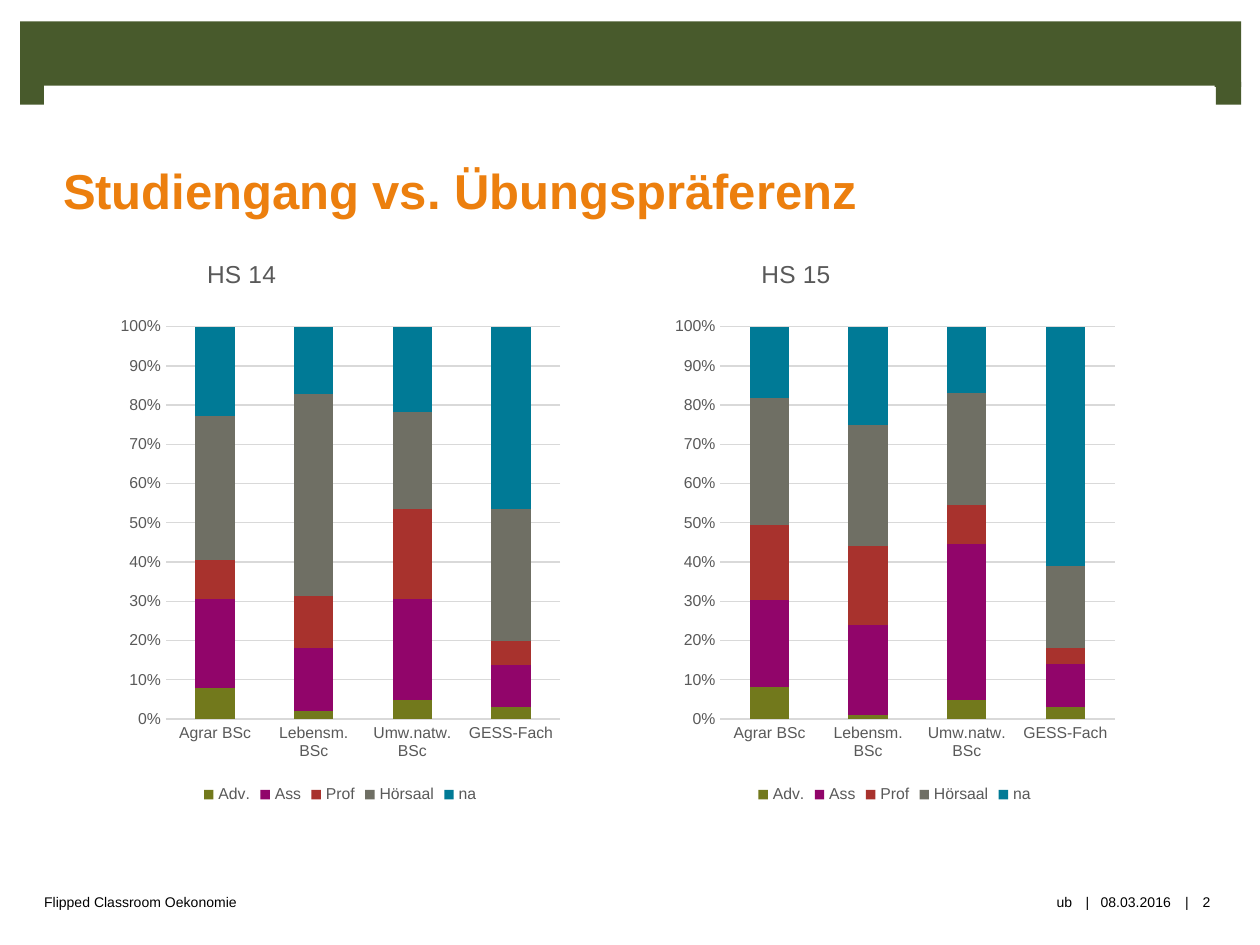
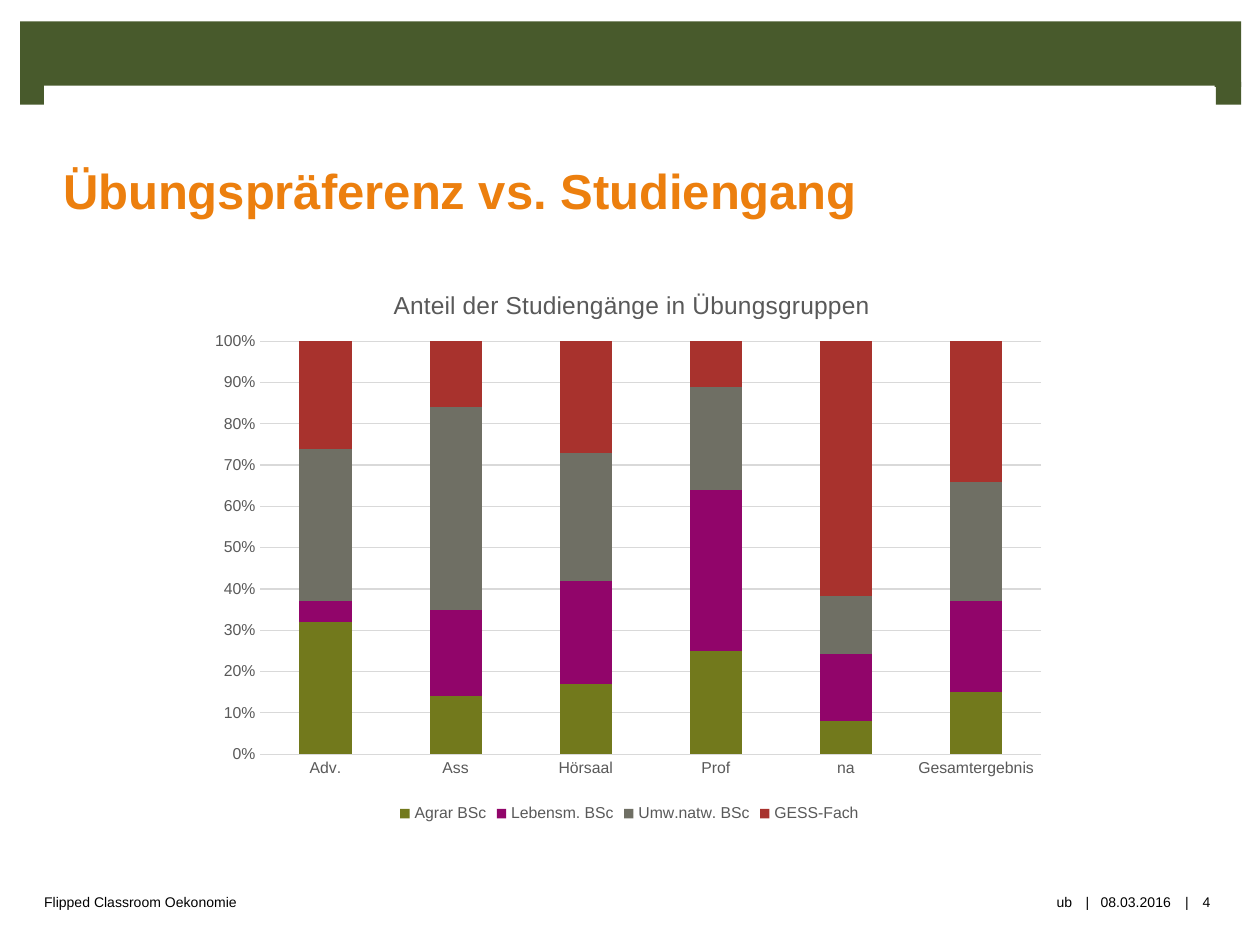
from collections import namedtuple
from dataclasses import dataclass

from lxml.etree import SubElement
from pptx import Presentation
from pptx.chart.data import CategoryChartData
from pptx.dml.color import RGBColor
from pptx.enum.chart import XL_CHART_TYPE, XL_LEGEND_POSITION, XL_TICK_MARK
from pptx.enum.shapes import MSO_SHAPE
from pptx.enum.text import MSO_ANCHOR, MSO_AUTO_SIZE, PP_ALIGN
from pptx.oxml.ns import qn
from pptx.util import Inches, Pt

Box = namedtuple("Box", "x y w h")


@dataclass(frozen=True)
class Theme:
    font: str = "Arial"
    band: str = "485A2C"
    title: str = "EC7F0E"
    paper: str = "FFFFFF"
    ink: str = "000000"
    label: str = "595959"
    grid: str = "D9D9D9"
    olive: str = "72791C"
    plum: str = "91056A"
    red: str = "A8322D"
    grey: str = "6F6F64"
    teal: str = "007A96"
    title_size: float = 28
    foot_size: float = 8
    head_size: float = 14
    axis_size: float = 9
    line: float = 0.75


THEME = Theme()
BAND = Box(0.16, 0.17, 9.69, 0.66)
TITLE = Box(0.35, 0.68, 9.29, 1.06)
FOOT = Box(0.35, 6.9, 9.37, 0.51)


def rgb(code):
    return RGBColor.from_string(code)


def inch(box):
    return [Inches(side) for side in box]


def style(font, size, color, bold=False):
    font.name, font.size, font.bold = THEME.font, Pt(size), bold
    font.color.rgb = rgb(color)


def add_band(slide, box):
    """Draw the top bar with a small tab below each end."""
    bar, tab, tall = 0.52, 0.2, 0.18
    low = box.y + box.h - tall
    parts = (Box(box.x, box.y, box.w, bar),
             Box(box.x, low, tab, tall),
             Box(box.x + box.w - tab, low, tab, tall))
    for part in parts:
        shape = slide.shapes.add_shape(MSO_SHAPE.RECTANGLE, *inch(part))
        shape.shadow.inherit = False
        shape.fill.solid()
        shape.fill.fore_color.rgb = rgb(THEME.band)
        shape.line.fill.background()


def add_title(slide, box, text):
    title = slide.shapes.title
    title.left, title.top, title.width, title.height = inch(box)
    title.fill.solid()
    title.fill.fore_color.rgb = rgb(THEME.paper)
    frame = title.text_frame
    frame.text = text
    frame.auto_size = MSO_AUTO_SIZE.NONE
    frame.vertical_anchor = MSO_ANCHOR.BOTTOM
    frame.margin_left, frame.margin_right = Inches(0.15), Inches(0.16)
    frame.margin_top = frame.margin_bottom = 0
    line = frame.paragraphs[0]
    line.alignment = PP_ALIGN.LEFT
    style(line.font, THEME.title_size, THEME.title, True)
    slide.shapes.element.append(title.element)  # in front of the band


def add_foot(slide, box, page):
    left, mid, right = PP_ALIGN.LEFT, PP_ALIGN.CENTER, PP_ALIGN.RIGHT
    parts = (("Flipped Classroom Oekonomie", 0, 4.65, left),
             ("ub", 4.65, 3.51, right),
             ("|", 8.22, 0.12, mid),
             ("08.03.2016", 8.33, 0.67, mid),
             ("|", 9.01, 0.12, mid),
             (str(page), 9.08, 0.29, mid))
    for text, x, wide, align in parts:
        area = Box(box.x + x, box.y, wide, box.h)
        frame = slide.shapes.add_textbox(*inch(area)).text_frame
        frame.word_wrap = True
        frame.vertical_anchor = MSO_ANCHOR.MIDDLE
        frame.margin_left = frame.margin_right = 0
        frame.margin_top = frame.margin_bottom = 0
        frame.text = text
        line = frame.paragraphs[0]
        line.alignment = align
        style(line.font, THEME.foot_size, THEME.ink)


def place(node, index, inner=False, **sides):
    """Fix a chart part at fractions of the chart's width and height."""
    for old in node.findall(qn("c:layout")):
        node.remove(old)
    layout = node.makeelement(qn("c:layout"))
    node.insert(index, layout)
    manual = SubElement(layout, qn("c:manualLayout"))
    if inner:
        SubElement(manual, qn("c:layoutTarget")).set("val", "inner")
    for mode in ("xMode", "yMode"):
        SubElement(manual, qn(f"c:{mode}")).set("val", "edge")
    for name, value in sides.items():
        SubElement(manual, qn(f"c:{name}")).set("val", str(value))


def style_axes(chart):
    for axis in (chart.category_axis, chart.value_axis):
        axis.major_tick_mark = axis.minor_tick_mark = XL_TICK_MARK.NONE
        style(axis.tick_labels.font, THEME.axis_size, THEME.label)
    values = chart.value_axis
    values.format.line.fill.background()
    values.has_major_gridlines = True
    values.maximum_scale, values.minimum_scale = 1, 0
    values.major_unit = 0.1
    values.tick_labels.number_format = "0%"
    values.tick_labels.number_format_is_linked = False
    for part in (chart.category_axis, values.major_gridlines):
        part.format.line.color.rgb = rgb(THEME.grid)
        part.format.line.width = Pt(THEME.line)


def add_stack(slide, box, head, cats, rows, spot, plot):
    """Add a 100% column chart; rows hold name, colour and values."""
    data = CategoryChartData(number_format="0")
    data.categories = cats
    for name, _, values in rows:
        data.add_series(name, values)
    chart = slide.shapes.add_chart(
        XL_CHART_TYPE.COLUMN_STACKED_100, *inch(box), data).chart
    style(chart.font, 10, THEME.ink)

    chart.has_title = True
    chart.chart_title.include_in_layout = False
    frame = chart.chart_title.text_frame
    frame.text = head
    style(frame.paragraphs[0].font, THEME.head_size, THEME.label)

    chart.has_legend = True
    chart.legend.position = XL_LEGEND_POSITION.BOTTOM
    chart.legend.include_in_layout = False
    style(chart.legend.font, THEME.axis_size, THEME.label)

    bars = chart.plots[0]
    bars.gap_width, bars.overlap = 150, 100
    bars.vary_by_categories = False
    for series, (_, color, _) in zip(bars.series, rows):
        series.format.fill.solid()
        series.format.fill.fore_color.rgb = rgb(color)
    style_axes(chart)

    root = chart.element.find(qn("c:chart"))
    place(root.find(qn("c:title")), 1, x=spot[0], y=spot[1])
    place(root.find(qn("c:plotArea")), 0, inner=True, **plot._asdict())


def add_slide(deck, title, page):
    slide = deck.slides.add_slide(deck.slide_layouts[5])
    add_band(slide, BAND)
    add_title(slide, TITLE, title)
    add_foot(slide, FOOT, page)
    return slide


def add_years(deck):
    slide = add_slide(deck, "Studiengang vs. Übungspräferenz", 2)
    cats = ("Agrar BSc", "Lebensm. BSc", "Umw.natw. BSc", "GESS-Fach")
    names = ("Adv.", "Ass", "Prof", "Hörsaal", "na")
    colors = (THEME.olive, THEME.plum, THEME.red, THEME.grey, THEME.teal)
    years = {
        "HS 14": ((8, 2, 5, 3), (23, 16, 26, 11), (10, 13, 23, 6),
                  (37, 51, 25, 34), (23, 17, 22, 47)),
        "HS 15": ((8, 1, 5, 3), (22, 23, 40, 11), (19, 20, 10, 4),
                  (32, 31, 29, 21), (18, 25, 17, 61)),
    }
    for col, (year, values) in enumerate(years.items()):
        box = Box(0.88 + 4.4 * col, 1.97, 3.64, 4.45)
        rows = list(zip(names, colors, values))
        add_stack(slide, box, year, cats, rows, (0.2, 0.01),
                  Box(0.12, 0.14, 0.86, 0.7))


def add_groups(deck):
    slide = add_slide(deck, "Übungspräferenz vs. Studiengang", 4)
    cats = ("Adv.", "Ass", "Hörsaal", "Prof", "na", "Gesamtergebnis")
    rows = (("Agrar BSc", THEME.olive, (32, 14, 17, 25, 8, 15)),
            ("Lebensm. BSc", THEME.plum, (5, 21, 25, 39, 16, 22)),
            ("Umw.natw. BSc", THEME.grey, (37, 49, 31, 25, 14, 29)),
            ("GESS-Fach", THEME.red, (26, 16, 27, 11, 61, 34)))
    add_stack(slide, Box(1.59, 2.08, 6.81, 4.49),
              "Anteil der Studiengänge in Übungsgruppen", cats, rows,
              (0.22, 0.04), Box(0.07, 0.14, 0.91, 0.73))


def main():
    deck = Presentation()
    deck.slide_width, deck.slide_height = Inches(10), Inches(7.5)
    add_years(deck)
    add_groups(deck)
    deck.save("out.pptx")


if __name__ == "__main__":
    main()
